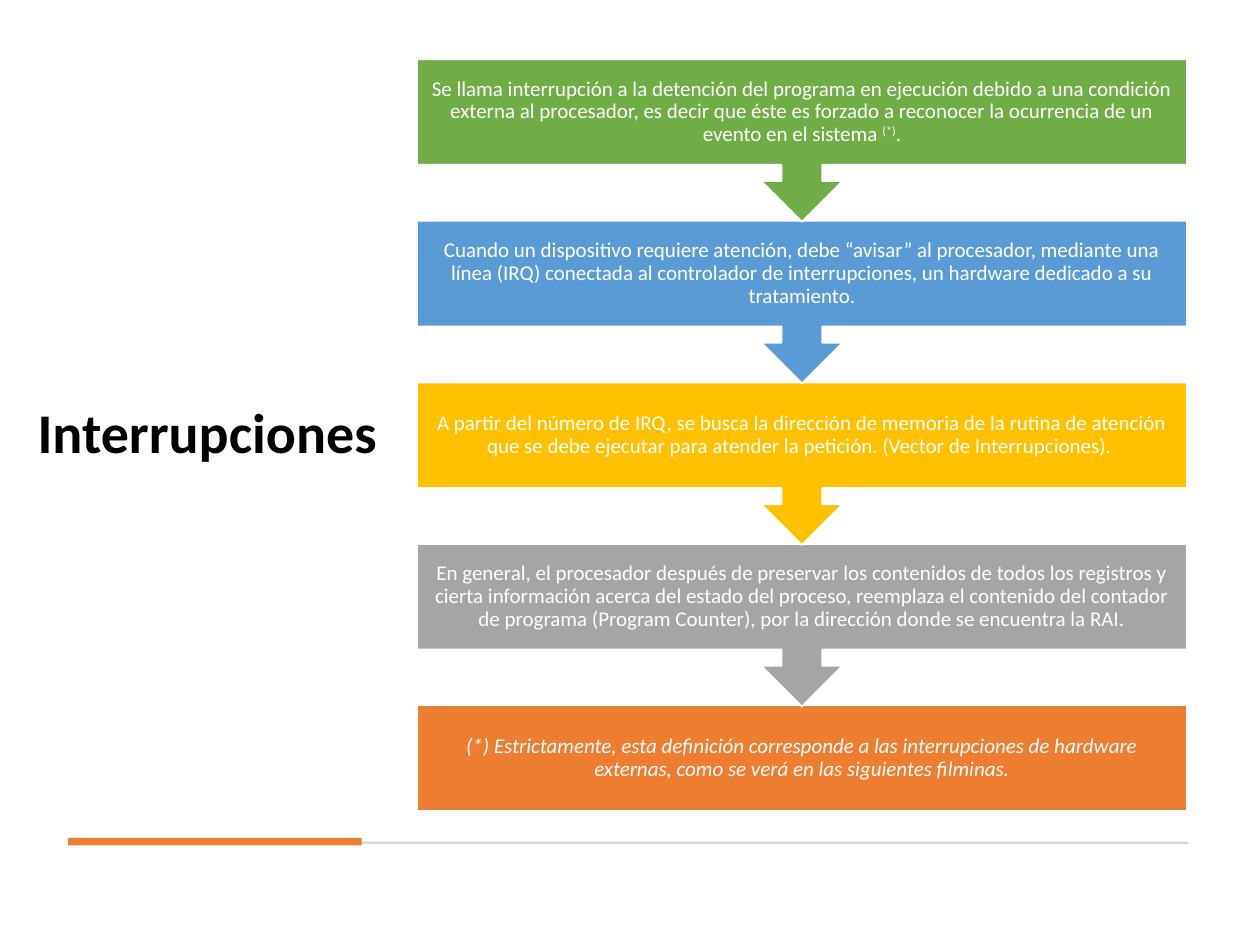
"""Build the slide that explains interrupts as a descending chain of steps."""
from dataclasses import dataclass

from pptx import Presentation
from pptx.dml.color import RGBColor
from pptx.enum.shapes import MSO_SHAPE
from pptx.enum.text import MSO_ANCHOR, PP_ALIGN
from pptx.util import Inches, Pt


@dataclass(frozen=True)
class Theme:
    font: str = "Calibri"
    title_size: int = 32
    step_size: int = 12
    black: str = "000000"
    white: str = "FFFFFF"
    rule: str = "D5D5D5"
    green: str = "70AD47"
    blue: str = "5B9BD5"
    gold: str = "FFC000"
    gray: str = "A5A5A5"
    orange: str = "ED7D31"


theme = Theme()


def add_block(slide, preset, left, top, width, height, color):
    shape = slide.shapes.add_shape(
        preset, Inches(left), Inches(top), Inches(width), Inches(height))
    shape.shadow.inherit = False
    shape.fill.solid()
    shape.fill.fore_color.rgb = RGBColor.from_string(color)
    shape.line.fill.background()
    return shape


def add_run(paragraph, text, size, color):
    run = paragraph.add_run()
    run.text = text
    run.font.name = theme.font
    run.font.size = Pt(size)
    run.font.color.rgb = RGBColor.from_string(color)
    return run


presentation = Presentation()
presentation.slide_width = Inches(10)
presentation.slide_height = Inches(7.5)
slide = presentation.slides.add_slide(presentation.slide_layouts[6])

title = slide.shapes.add_textbox(Inches(0.2), Inches(0.47), Inches(3.1), Inches(5.97))
title.text_frame.word_wrap = True
title.text_frame.vertical_anchor = MSO_ANCHOR.MIDDLE
paragraph = title.text_frame.paragraphs[0]
paragraph.line_spacing = 0.9
add_run(paragraph, "Interrupciones", theme.title_size, theme.black).font.bold = True

add_block(slide, MSO_SHAPE.RECTANGLE, 0.54, 6.68, 8.89, 0.02, theme.rule)
add_block(slide, MSO_SHAPE.RECTANGLE, 0.54, 6.65, 2.33, 0.06, theme.orange)

steps = [
    (theme.green, [
        "Se llama interrupción a la detención del programa en ejecución debido a una "
        "condición externa al procesador, es decir que éste es forzado a reconocer la "
        "ocurrencia de un evento en el sistema ", "(*)", "."]),
    (theme.blue, [
        "Cuando un dispositivo requiere atención, debe “avisar” al procesador, mediante "
        "una línea (IRQ) conectada al controlador de interrupciones, un hardware dedicado "
        "a su tratamiento."]),
    (theme.gold, [
        "A partir del número de IRQ, se busca la dirección de memoria de la rutina de "
        "atención que se debe ejecutar para atender la petición. (Vector de "
        "Interrupciones). "]),
    (theme.gray, [
        "En general, el procesador después de preservar los contenidos de todos los "
        "registros y cierta información acerca del estado del proceso, reemplaza el "
        "contenido del contador de programa (Program Counter), por la dirección donde se "
        "encuentra la RAI."]),
    (theme.orange, [
        "(*) Estrictamente, esta definición corresponde a las interrupciones de hardware "
        "externas, como se verá en las siguientes filminas."]),
]
first_top, last_top = 0.47, 5.6
last = len(steps) - 1
pitch = (last_top - first_top) / last

for index, (color, texts) in reversed(list(enumerate(steps))):
    is_note = index == last
    preset = MSO_SHAPE.RECTANGLE if is_note else MSO_SHAPE.DOWN_ARROW_CALLOUT
    height = 0.84 if is_note else 1.29
    step = add_block(slide, preset, 3.31, first_top + index * pitch, 6.11, height, color)
    step.line.color.rgb = RGBColor.from_string(theme.white)
    step.line.width = Pt(1)
    frame = step.text_frame
    frame.word_wrap = True
    frame.vertical_anchor = MSO_ANCHOR.MIDDLE
    frame.margin_left = frame.margin_right = Inches(0.09)
    frame.margin_top = frame.margin_bottom = Inches(0.09)
    paragraph = frame.paragraphs[0]
    paragraph.alignment = PP_ALIGN.CENTER
    paragraph.line_spacing = 0.9
    for text in texts:
        run = add_run(paragraph, text, theme.step_size, theme.white)
        run.font.italic = is_note
        if text == "(*)":
            run.font._element.set("baseline", "30000")

presentation.save("out.pptx")
